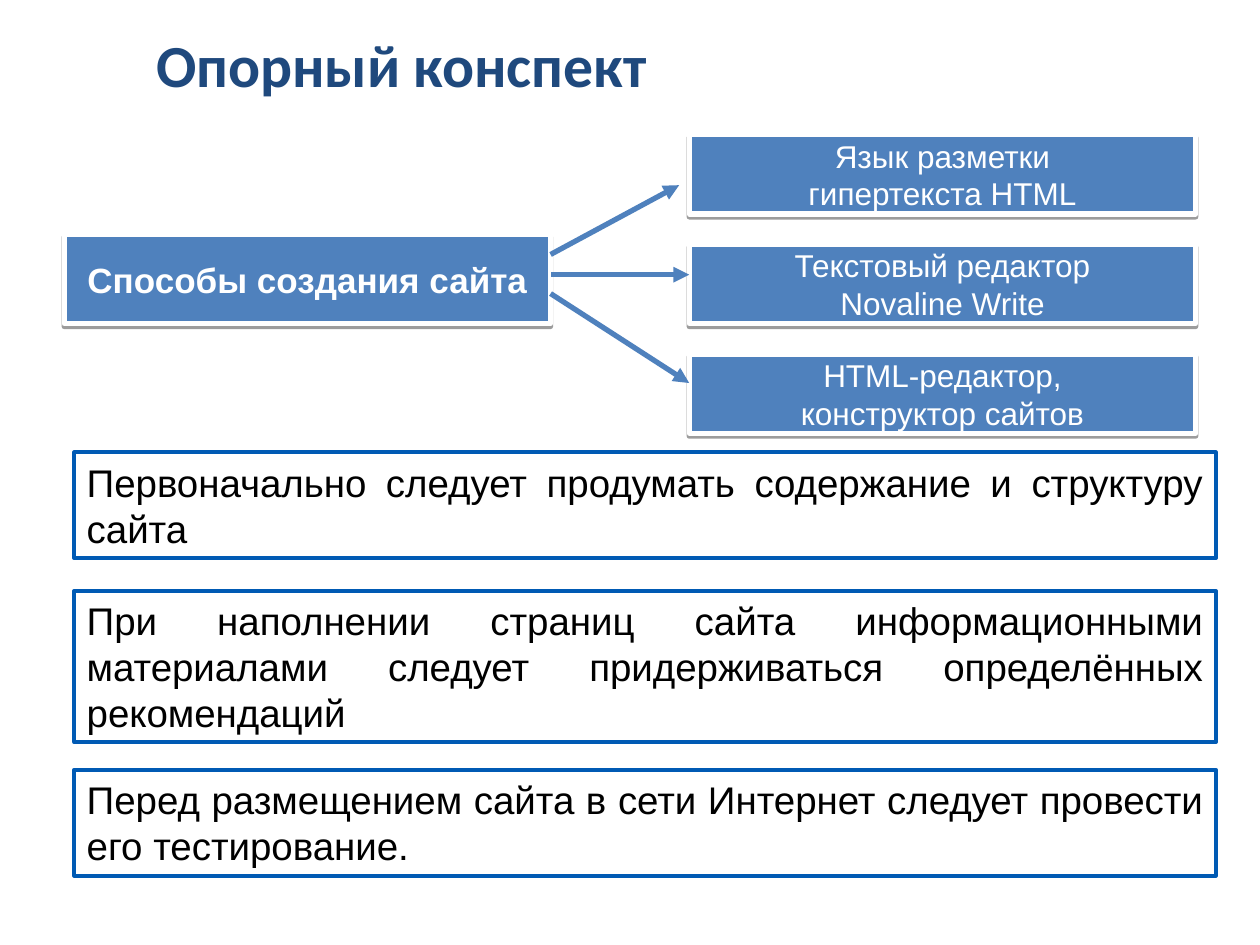
from collections import namedtuple

from pptx import Presentation
from pptx.dml.color import RGBColor
from pptx.enum.shapes import MSO_CONNECTOR, MSO_SHAPE
from pptx.enum.text import MSO_ANCHOR, PP_ALIGN
from pptx.oxml import parse_xml
from pptx.oxml.ns import nsdecls, qn
from pptx.util import Inches, Pt

# The slide is a grid of 100 columns by 75 rows; boxes are given in cells.
COLUMNS, ROWS = 100, 75
CELL = Inches(0.1)
Box = namedtuple("Box", "left top width height")

WHITE = RGBColor(0xFF, 0xFF, 0xFF)
BLACK = RGBColor(0x00, 0x00, 0x00)
NAVY = RGBColor(0x1F, 0x49, 0x7D)
BLUE = RGBColor(0x4F, 0x81, 0xBD)
FRAME_BLUE = RGBColor(0x00, 0x5A, 0xB4)

RECTANGLE = MSO_SHAPE.RECTANGLE
STRAIGHT = MSO_CONNECTOR.STRAIGHT
LEFT, CENTER, JUSTIFY = PP_ALIGN.LEFT, PP_ALIGN.CENTER, PP_ALIGN.JUSTIFY
TOP, MIDDLE = MSO_ANCHOR.TOP, MSO_ANCHOR.MIDDLE

TITLE = "Опорный конспект"
TOPIC = "Способы создания сайта"
# Lines of each option, arrow start on the topic box, arrow tip on the option:
# rows below the top of each box, then columns left free before the option.
OPTIONS = [
    (("Язык разметки", "гипертекста HTML"), 1.6, 4, 0.8),
    (("Текстовый редактор", "Novaline Write"), 3.2, 2.4, 0),
    (("HTML-редактор,", "конструктор сайтов"), 4.7, 2.3, 0),
]
# Text, rows below the top of the region, height in rows.
NOTES = [
    ("Первоначально следует продумать содержание и структуру сайта", 0, 8.4),
    ("При наполнении страниц сайта информационными материалами "
     "следует придерживаться определённых рекомендаций", 11, 12),
    ("Перед размещением сайта в сети Интернет следует провести "
     "его тестирование.", 25.2, 8.4),
]


def cells(*counts):
    return [round(count * CELL) for count in counts]


def write(shape, *lines, size, color, font="Arial", bold=False, align=LEFT,
          anchor=MIDDLE, wrap=True, spacing=None):
    frame = shape.text_frame
    frame.word_wrap = wrap
    frame.vertical_anchor = anchor
    frame.text = "\n".join(lines)
    for paragraph in frame.paragraphs:
        paragraph.alignment = align
        paragraph.line_spacing = spacing
        run_font = paragraph.runs[0].font
        run_font.name, run_font.size, run_font.bold = font, Pt(size), bold
        run_font.color.rgb = color


def add_rectangle(slide, box, line, line_width, fill=None):
    shape = slide.shapes.add_shape(RECTANGLE, *cells(*box))
    shape.shadow.inherit = False
    if fill is None:
        shape.fill.background()
    else:
        shape.fill.solid()
        shape.fill.fore_color.rgb = fill
    shape.line.color.rgb = line
    shape.line.width = Pt(line_width)
    return shape


def add_diagram_box(slide, box, *lines, **text_format):
    """Blue box with a white border and a thin shadow below it."""
    shape = add_rectangle(slide, box, WHITE, 3, fill=BLUE)
    shape._element.spPr.find(qn("a:effectLst")).append(parse_xml(
        f'<a:outerShdw {nsdecls("a")} blurRad="0" dist="{Pt(1.6)}" '
        'dir="5400000" rotWithShape="0"><a:srgbClr val="000000">'
        '<a:alpha val="38000"/></a:srgbClr></a:outerShdw>'))
    write(shape, *lines, color=WHITE, align=CENTER, wrap=False, **text_format)


def add_arrow(slide, tip, start):
    arrow = slide.shapes.add_connector(STRAIGHT, *cells(*tip, *start))
    arrow.line.color.rgb = BLUE
    arrow.line.width = Pt(3)
    properties = arrow._element.spPr
    properties.find(qn("a:ln")).append(
        parse_xml(f'<a:headEnd {nsdecls("a")} type="triangle"/>'))
    properties.append(parse_xml(f'<a:effectLst {nsdecls("a")}/>'))


def add_title(slide, box):
    title = slide.shapes.add_textbox(*cells(*box))
    write(title, TITLE, size=34.1, color=NAVY, font="Calibri", bold=True,
          spacing=0.8)


def add_diagram(slide, box):
    """Topic on the left, options stacked on the right, arrows between."""
    option_width, option_height = 40.2, 6.3
    option_left = box.left + box.width - option_width
    pitch = (box.height - option_height) / (len(OPTIONS) - 1)
    # The topic shares its bottom edge with the middle option.
    topic_height = 7.1
    topic_top = box.top + pitch + option_height - topic_height
    topic = Box(box.left, topic_top, 38.6, topic_height)
    add_diagram_box(slide, topic, TOPIC, size=20, bold=True)

    for index, (lines, start_row, tip_row, tip_gap) in enumerate(OPTIONS):
        top = box.top + index * pitch
        option = Box(option_left, top, option_width, option_height)
        add_diagram_box(slide, option, *lines, size=18)
        add_arrow(slide, tip=(option_left - tip_gap, top + tip_row),
                  start=(topic.left + topic.width, topic.top + start_row))


def add_notes(slide, box):
    for text, row, height in NOTES:
        note_box = Box(box.left, box.top + row, box.width, height)
        note = add_rectangle(slide, note_box, FRAME_BLUE, 2.25)
        write(note, text, size=22, color=BLACK, align=JUSTIFY, anchor=TOP)


def main():
    presentation = Presentation()
    presentation.slide_width, presentation.slide_height = cells(COLUMNS, ROWS)
    slide = presentation.slides.add_slide(presentation.slide_layouts[6])
    add_title(slide, Box(11.4, 2.1, 83.6, 6.9))
    add_diagram(slide, Box(5.1, 10.7, 89.8, 23.7))
    add_notes(slide, Box(5.9, 35.9, 90.6, 33.6))
    presentation.save("out.pptx")


if __name__ == "__main__":
    main()
